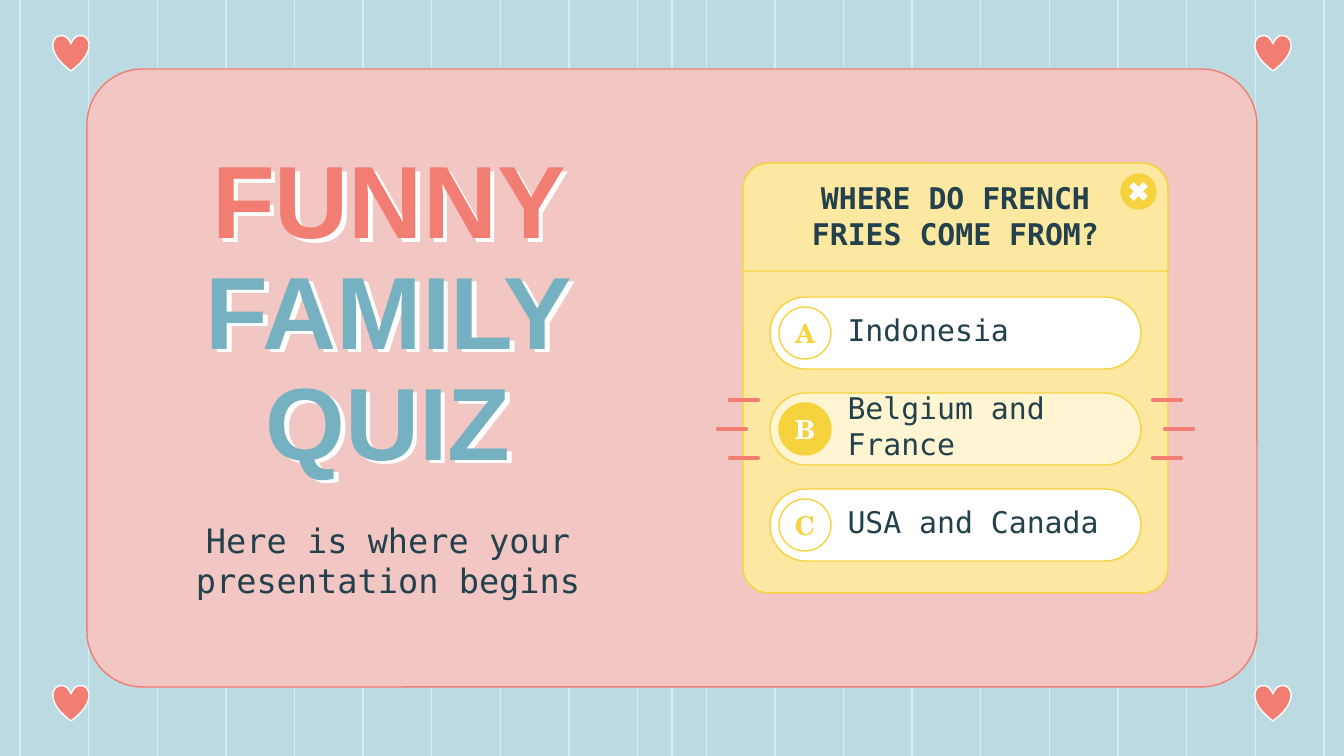
import pptx
import pptx.util
import pptx.dml.color
import pptx.enum.shapes
import pptx.enum.text
import pptx.oxml
import pptx.oxml.ns

RGBColor = pptx.dml.color.RGBColor
SHAPE = pptx.enum.shapes.MSO_SHAPE
ALIGN = pptx.enum.text.PP_ALIGN

SKY = RGBColor(0xBC, 0xDA, 0xE2)
STRIPE = RGBColor(0xD8, 0xEB, 0xF0)
PINK = RGBColor(0xF2, 0xC6, 0xC2)
CORAL = RGBColor(0xF2, 0x7D, 0x72)
TEAL = RGBColor(0x76, 0xB1, 0xC1)
INK = RGBColor(0x23, 0x41, 0x4C)
CREAM = RGBColor(0xFD, 0xE8, 0xA1)
PALE = RGBColor(0xFF, 0xF5, 0xD2)
GOLD = RGBColor(0xF7, 0xD2, 0x3F)
WHITE = RGBColor(0xFF, 0xFF, 0xFF)
SANS, MONO, SERIF = "Arial", "DejaVu Sans Mono", "TeX Gyre Schola"

TITLE = [("FUNNY ", CORAL), ("FAMILY QUIZ", TEAL)]
SUBTITLE = "Here is where your presentation begins"
QUESTION = "WHERE DO FRENCH FRIES COME FROM?"
ANSWERS = [("A", "Indonesia"), ("B", "Belgium and France"), ("C", "USA and Canada")]
CHOSEN = "B"

SLIDE_W, SLIDE_H = 1344, 756
STRIPES, FIRST_STRIPE = 20, 20
CARD_X, CARD_Y, CARD_W, CARD_H, HEADER_H = 743, 163, 425, 430, 108
ANSWER_Y, ANSWER_H, ANSWER_PITCH, BADGE = 297, 72, 96, 52
TICKS = [(730, 400), (718, 429), (730, 458)]
TICK_W = 28


def px(n):
    return pptx.util.Emu(round(n * 914400 / 134.4))


def set_effects(s, effects=""):
    """Replace the theme's effects by the given XML, or by none."""
    s._element.spPr.append(pptx.oxml.parse_xml(
        f'<a:effectLst {pptx.oxml.ns.nsdecls("a")}>{effects}</a:effectLst>'))


def add_line(x1, y1, x2, y2, color, width, cap="flat"):
    line = slide.shapes.add_connector(
        pptx.enum.shapes.MSO_CONNECTOR.STRAIGHT, px(x1), px(y1), px(x2), px(y2))
    line.line.color.rgb = color
    line.line.width = pptx.util.Pt(width)
    line.line._get_or_add_ln().set("cap", cap)
    set_effects(line)


def add_shape(kind, x, y, w, h, fill, outline=None, adj=()):
    s = slide.shapes.add_shape(kind, px(x), px(y), px(w), px(h))
    s.shadow.inherit = False
    s.fill.solid()
    s.fill.fore_color.rgb = fill
    if outline is None:
        s.line.fill.background()
    else:
        s.line.color.rgb = outline
        s.line.width = pptx.util.Pt(0.75)
    for i, value in enumerate(adj):
        s.adjustments[i] = value
    return s


def write(s, runs, size, font, bold=False, align=ALIGN.CENTER, insets=(13, 13, 13, 13)):
    """Fill a shape with (text, colour) runs; insets are left, top, right, bottom."""
    tf = s.text_frame
    tf.word_wrap = True
    tf.vertical_anchor = pptx.enum.text.MSO_ANCHOR.MIDDLE
    tf.margin_left, tf.margin_top, tf.margin_right, tf.margin_bottom = map(px, insets)
    p = tf.paragraphs[0]
    p.alignment = align
    for text, color in runs:
        r = p.add_run()
        r.text = text
        r.font.size = pptx.util.Pt(size)
        r.font.name = font
        r.font.bold = bold
        r.font.color.rgb = color
    return p


def add_text(x, y, w, h):
    return slide.shapes.add_textbox(px(x), px(y), px(w), px(h))


prs = pptx.Presentation()
prs.slide_width, prs.slide_height = px(SLIDE_W), px(SLIDE_H)
slide = prs.slides.add_slide(prs.slide_layouts[6])
slide.background.fill.solid()
slide.background.fill.fore_color.rgb = SKY

# Striped backdrop, panel and corner hearts
stripe_gap = (SLIDE_W - 2 * FIRST_STRIPE) / (STRIPES - 1)
for x in [SLIDE_W / 2] + [FIRST_STRIPE + i * stripe_gap for i in range(STRIPES)]:
    add_line(x, 0, x, SLIDE_H, STRIPE, 0.75)
add_shape(SHAPE.ROUNDED_RECTANGLE, 87, 69, 1170, 618, PINK, CORAL, [0.09])
for x in (53, 1255):
    for y in (35, 685):
        add_shape(SHAPE.HEART, x, y, 36, 36, CORAL, WHITE)

# Title with a sharp white shadow, and subtitle
title = add_text(116, 133, 544, 367)
write(title, TITLE, 55, SANS, bold=True).line_spacing = 0.9
set_effects(title, '<a:outerShdw dist="38100" dir="2040000" algn="bl" rotWithShape="0">'
                   f'<a:srgbClr val="{WHITE}"/></a:outerShdw>')
write(add_text(116, 517, 544, 86), [(SUBTITLE, INK)], 18, MONO)

# Quiz card
add_shape(SHAPE.ROUNDED_RECTANGLE, CARD_X, CARD_Y, CARD_W, CARD_H, CREAM, GOLD, [0.06])
header = add_shape(SHAPE.ROUND_2_SAME_RECTANGLE, CARD_X, CARD_Y, CARD_W, HEADER_H,
                   CREAM, GOLD, [0.24, 0])
write(header, [(QUESTION, INK)], 16, MONO, bold=True, insets=(54, 5, 54, 15))
add_shape(SHAPE.OVAL, 1121, 174, 35, 35, GOLD, GOLD)
add_shape(SHAPE.MATH_MULTIPLY, 1125, 178, 27, 27, WHITE, adj=[0.24])

for i, (letter, answer) in enumerate(ANSWERS):
    y = ANSWER_Y + i * ANSWER_PITCH
    chosen = letter == CHOSEN
    pill = add_shape(SHAPE.ROUNDED_RECTANGLE, 770, y, 371, ANSWER_H,
                     PALE if chosen else WHITE, GOLD, [0.5])
    write(pill, [(answer, INK)], 16, MONO, align=ALIGN.LEFT, insets=(67, 7, 13, 13))
    badge = add_shape(SHAPE.OVAL, 779, y + (ANSWER_H - BADGE) / 2, BADGE, BADGE,
                      GOLD if chosen else WHITE, GOLD)
    write(badge, [(letter, WHITE if chosen else GOLD)], 14, SERIF, bold=True,
          insets=(0, 13, 0, 13))

# Ticks on both sides of the chosen answer, mirrored about the card's centre
mirror = 2 * CARD_X + CARD_W
for x, y in TICKS:
    add_line(x, y, x + TICK_W, y, CORAL, 2.25, "rnd")
    add_line(mirror - x - TICK_W, y, mirror - x, y, CORAL, 2.25, "rnd")

prs.save("out.pptx")
